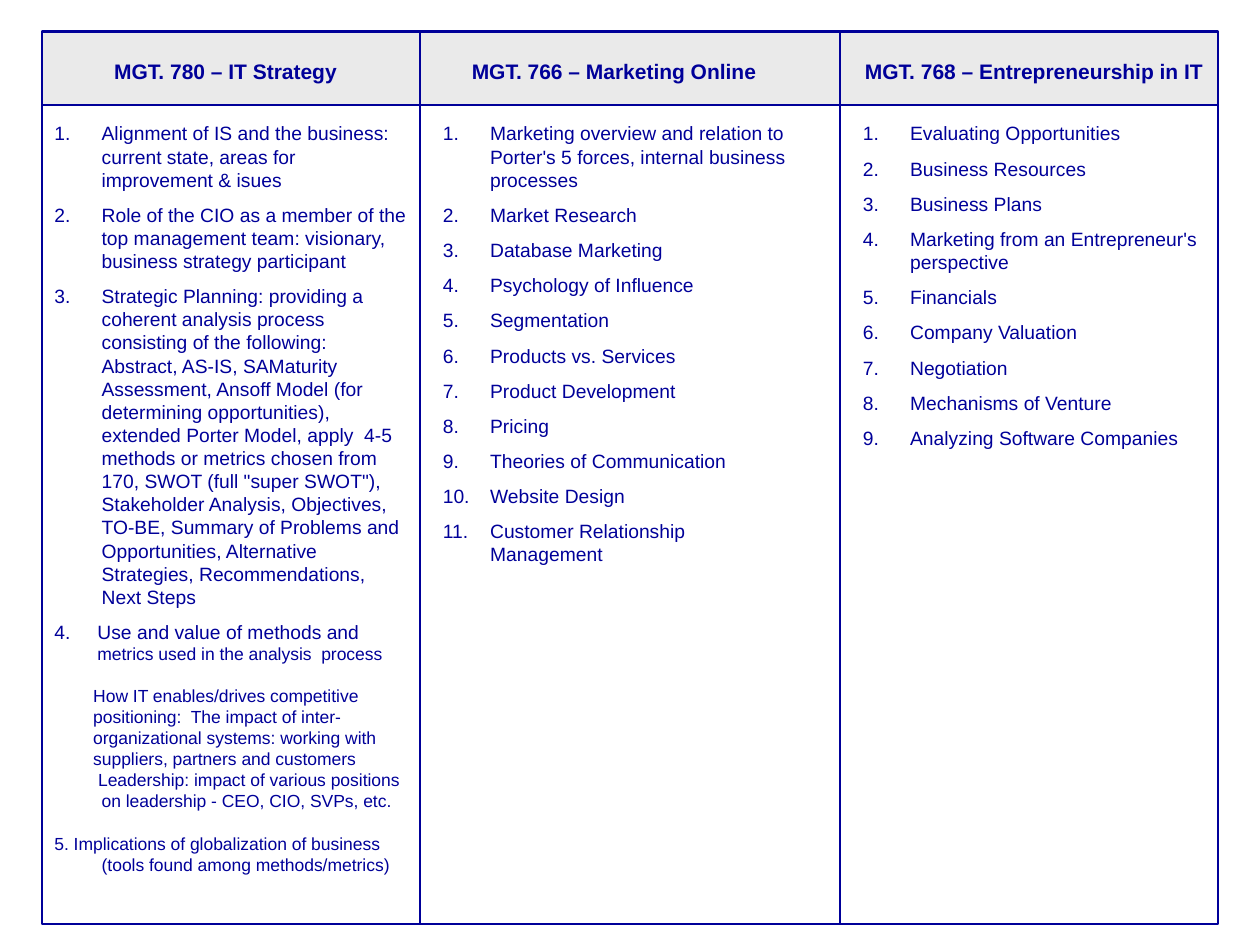
from lxml.etree import SubElement
from pptx import Presentation
from pptx.dml.color import RGBColor
from pptx.enum.shapes import MSO_CONNECTOR as Connector, MSO_SHAPE as Shape
from pptx.enum.text import MSO_AUTO_SIZE as AutoSize, PP_ALIGN as Align
from pptx.oxml.ns import qn
from pptx.util import Pt

NAVY, GREY, WHITE = "000099", "EAEAEA", "FFFFFF"
LEFT, TOP, WIDTH, BOTTOM = 24, 18, 672, 528
HEADER_BOTTOM = 60
HANG = 27

# title, left, list width, numbered topics
COURSES = [
    ("MGT. 780 – IT Strategy", 24, 216, [
        "Alignment of IS and the business: current state, areas for improvement & isues",
        "Role of the CIO as a member of the top management team: visionary, "
        "business strategy participant",
        "Strategic Planning: providing a coherent analysis process consisting of the "
        "following: Abstract, AS-IS, SAMaturity Assessment, Ansoff Model (for determining "
        "opportunities), extended Porter Model, apply  4-5 methods or metrics chosen from "
        "170, SWOT (full \"super SWOT\"), Stakeholder Analysis, Objectives, TO-BE, Summary "
        "of Problems and Opportunities, Alternative Strategies, Recommendations, Next Steps",
    ]),
    ("MGT. 766 – Marketing Online", 246, 216, [
        "Marketing overview and relation to Porter's 5 forces, internal business processes",
        "Market Research", "Database Marketing", "Psychology of Influence",
        "Segmentation", "Products vs. Services", "Product Development", "Pricing",
        "Theories of Communication", "Website Design",
        "Customer Relationship Management",
    ]),
    ("MGT. 768 – Entrepreneurship in IT", 486, 210, [
        "Evaluating Opportunities", "Business Resources", "Business Plans",
        "Marketing from an Entrepreneur's perspective", "Financials",
        "Company Valuation", "Negotiation", "Mechanisms of Venture",
        "Analyzing Software Companies",
    ]),
]

# text, left margin, first-line indent, space before
STRATEGY_DETAILS = [
    ("metrics used in the analysis  process", 24.6, 0, 0),
    ("How IT enables/drives competitive", 22.2, 0, 12),
    ("positioning:  The impact of inter-", 22.2, 0, 0),
    ("organizational systems: working with", 22.2, 0, 0),
    ("suppliers, partners and customers", 22.2, 0, 0),
    ("Leadership: impact of various positions on leadership - CEO, CIO, SVPs, etc.",
     HANG, -2, 0),
    ("5. Implications of globalization of business (tools found among methods/metrics)",
     HANG, -HANG, 12),
]


def color(value):
    return RGBColor.from_string(value)


def add_panel(page, top, bottom, fill):
    panel = page.shapes.add_shape(
        Shape.RECTANGLE, Pt(LEFT), Pt(top), Pt(WIDTH), Pt(bottom - top))
    panel.shadow.inherit = False
    panel.fill.solid()
    panel.fill.fore_color.rgb = color(fill)
    panel.line.color.rgb = color(NAVY)
    panel.line.width = Pt(1.5)


def add_divider(page, x):
    divider = page.shapes.add_connector(
        Connector.STRAIGHT, Pt(x), Pt(TOP), Pt(x), Pt(BOTTOM))
    divider.line.color.rgb = color(NAVY)
    divider.line.width = Pt(1.5)
    SubElement(divider._element.spPr, qn("a:effectLst"))


def add_box(page, left, top, width, height):
    box = page.shapes.add_textbox(Pt(left), Pt(top), Pt(width), Pt(height))
    frame = box.text_frame
    frame.word_wrap = True
    frame.auto_size = AutoSize.SHAPE_TO_FIT_TEXT
    return frame


def add_para(frame, text, size, before=0, bold=False):
    """Fill the empty first paragraph, or append one with space before it."""
    para = frame.paragraphs[0]
    if para.runs:
        para = frame.add_paragraph()
        para.space_before = Pt(before)
    span = para.add_run()
    span.text = text
    span.font.name = "Arial"
    span.font.size = Pt(size)
    span.font.bold = bold
    span.font.color.rgb = color(NAVY)
    return para


def set_indent(para, margin, first_line):
    props = para._p.get_or_add_pPr()
    props.set("marL", str(Pt(margin)))
    props.set("indent", str(Pt(first_line)))
    return props


def add_numbered(frame, text, hang=HANG, start=1):
    para = add_para(frame, text, 11, before=6.9)
    props = set_indent(para, hang, -hang)
    bullet_color = SubElement(props, qn("a:buClr"))
    SubElement(bullet_color, qn("a:srgbClr"), val=NAVY)
    numbering = SubElement(props, qn("a:buAutoNum"), type="arabicPeriod")
    if start > 1:
        numbering.set("startAt", str(start))


def add_course(page, title, left, width, topics):
    heading = add_para(add_box(page, left, 30, 210, 21.6), title, 12, bold=True)
    heading.alignment = Align.CENTER
    frame = add_box(page, left, 66, width, 450)
    for topic in topics:
        add_numbered(frame, topic)
    return frame


def add_strategy_details(frame):
    add_numbered(frame, "Use and value of methods and", hang=24.6, start=4)
    for text, margin, first_line, before in STRATEGY_DETAILS:
        set_indent(add_para(frame, text, 10, before), margin, first_line)


def main():
    deck = Presentation()
    deck.slide_width, deck.slide_height = Pt(720), Pt(540)
    page = deck.slides.add_slide(deck.slide_layouts[6])
    add_panel(page, 54, BOTTOM, WHITE)
    add_panel(page, TOP, HEADER_BOTTOM, GREY)
    for x in (240, 480):
        add_divider(page, x)
    frames = [add_course(page, *course) for course in COURSES]
    add_strategy_details(frames[0])
    deck.save("out.pptx")


if __name__ == "__main__":
    main()
